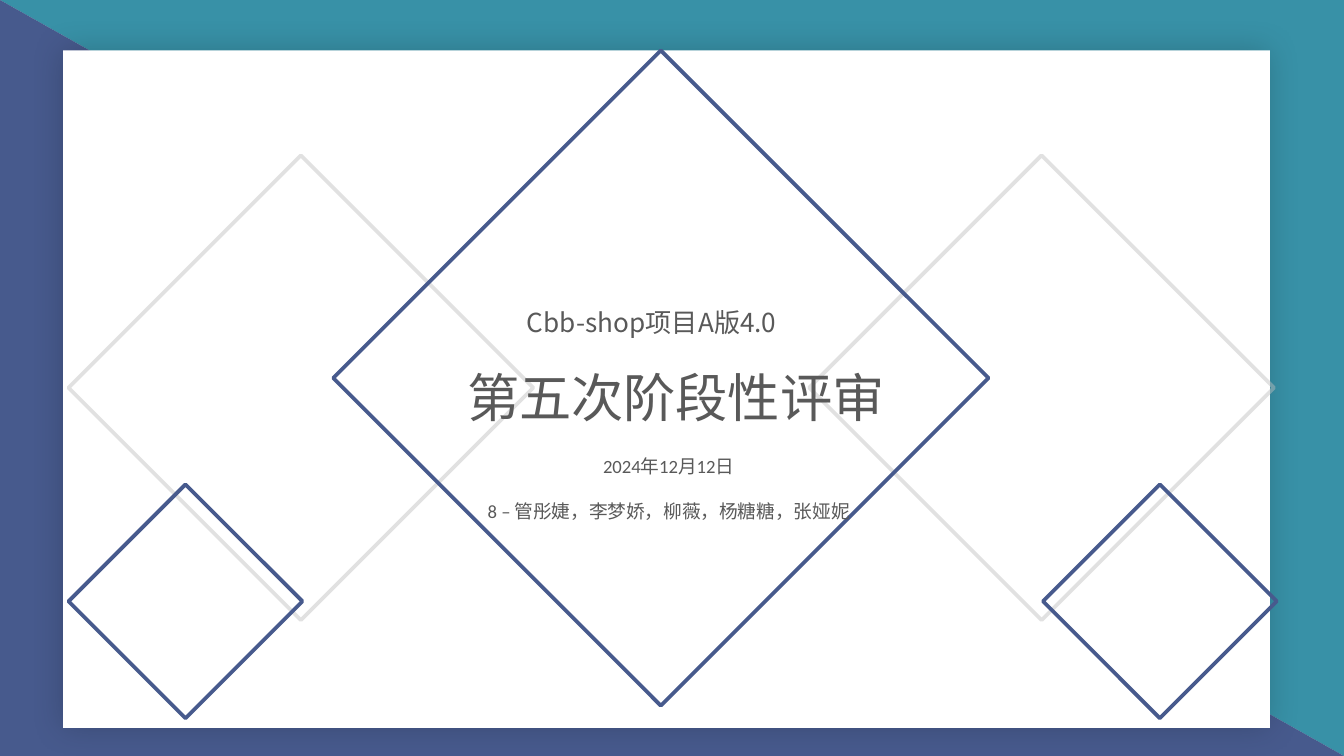
from lxml.etree import SubElement
from pptx import Presentation
from pptx.dml.color import RGBColor
from pptx.enum.shapes import MSO_SHAPE
from pptx.enum.text import MSO_ANCHOR, MSO_AUTO_SIZE, PP_ALIGN
from pptx.oxml import parse_xml
from pptx.oxml.ns import nsdecls, qn
from pptx.util import Pt

PX = 9525  # EMU per px, 96 px to the inch
WIDTH, HEIGHT = 960, 540
COLORS = {
    "background": "F2F2F2",
    "teal": "3891A7",
    "indigo": "475A8D",
    "card": "FFFFFF",
    "grey": "BFBFBF",
    "text": "595959",
}
CJK_FONT = "Noto Sans CJK SC"


def add_shape(kind, left, top, width, height, fill=None, line=None, line_alpha=None):
    shape = slide.shapes.add_shape(kind, left * PX, top * PX, width * PX, height * PX)
    shape.shadow.inherit = False
    if fill:
        shape.fill.solid()
        shape.fill.fore_color.rgb = RGBColor.from_string(COLORS[fill])
    else:
        shape.fill.background()
    if line:
        shape.line.color.rgb = RGBColor.from_string(COLORS[line])
        shape.line.width = Pt(2)
        outline = shape.line._get_or_add_ln()
        SubElement(outline, qn("a:round"))
        if line_alpha:
            color = outline.find(".//" + qn("a:srgbClr"))
            SubElement(color, qn("a:alpha"), val=str(line_alpha * 1000))
    else:
        shape.line.fill.background()
    return shape


def write_text(shape, lines, left, top, width, height, size, font=CJK_FONT,
               align=PP_ALIGN.LEFT, wrap=True, gap=0):
    shape.left, shape.top = left * PX, top * PX
    shape.width, shape.height = width * PX, height * PX
    frame = shape.text_frame
    frame.text = "\n".join(lines)
    frame.word_wrap = wrap
    frame.auto_size = MSO_AUTO_SIZE.SHAPE_TO_FIT_TEXT
    frame.vertical_anchor = MSO_ANCHOR.TOP
    for index, paragraph in enumerate(frame.paragraphs):
        paragraph.alignment = align
        paragraph.space_before = Pt(gap if index else 0)
        run = paragraph.runs[0]
        run.font.size = Pt(size)
        run.font.name = font
        run.font.color.rgb = RGBColor.from_string(COLORS["text"])
        SubElement(run.font._element, qn("a:ea"), typeface=CJK_FONT)


presentation = Presentation()
presentation.slide_width = WIDTH * PX
presentation.slide_height = HEIGHT * PX
slide = presentation.slides.add_slide(presentation.slide_layouts[5])
slide.background.fill.solid()
slide.background.fill.fore_color.rgb = RGBColor.from_string(COLORS["background"])

# Two triangles that split the backdrop along its diagonal
for color, rotation in (("teal", 180), ("indigo", 0)):
    triangle = add_shape(MSO_SHAPE.RIGHT_TRIANGLE, 0, 0, WIDTH, HEIGHT, fill=color)
    triangle.rotation = rotation

# White card with a soft shadow
card = add_shape(MSO_SHAPE.RECTANGLE, 45, 36, 862, 484, fill="card")
effects = card._element.spPr.find(qn("a:effectLst"))
effects.append(parse_xml(
    f'<a:outerShdw {nsdecls("a")} blurRad="{Pt(17)}" dist="0" dir="0" algn="ctr" '
    'rotWithShape="0"><a:srgbClr val="000000"><a:alpha val="18000"/></a:srgbClr>'
    '</a:outerShdw>'))

# Project line
subtitle = slide.shapes.add_textbox(0, 0, PX, PX)
write_text(subtitle, ["Cbb-shop项目A版4.0"], 367, 214, 507, 33, size=14)

# Diamonds: pale pair, large centre, small pair
for left, top, side, color, alpha in (
    (578, 111, 332, "grey", 45),
    (49, 111, 332, "grey", 45),
    (238, 36, 468, "indigo", None),
    (745, 346, 167, "indigo", None),
    (49, 346, 167, "indigo", None),
):
    add_shape(MSO_SHAPE.DIAMOND, left, top, side, side, line=color, line_alpha=alpha)

# Title, brought in front of the card
title = slide.shapes.title
slide.shapes._spTree.append(title._element)
write_text(title, ["第五次阶段性评审"], 324, 256, 321, 55, size=28, wrap=False)

# Date and team members
details = slide.shapes.add_textbox(0, 0, PX, PX)
write_text(details, ["2024年12月12日", "8 – 管彤婕，李梦娇，柳薇，杨糖糖，张娅妮"],
           228, 320, 499, 59, size=10, font="Calibri", align=PP_ALIGN.CENTER, gap=12)

presentation.save("out.pptx")
